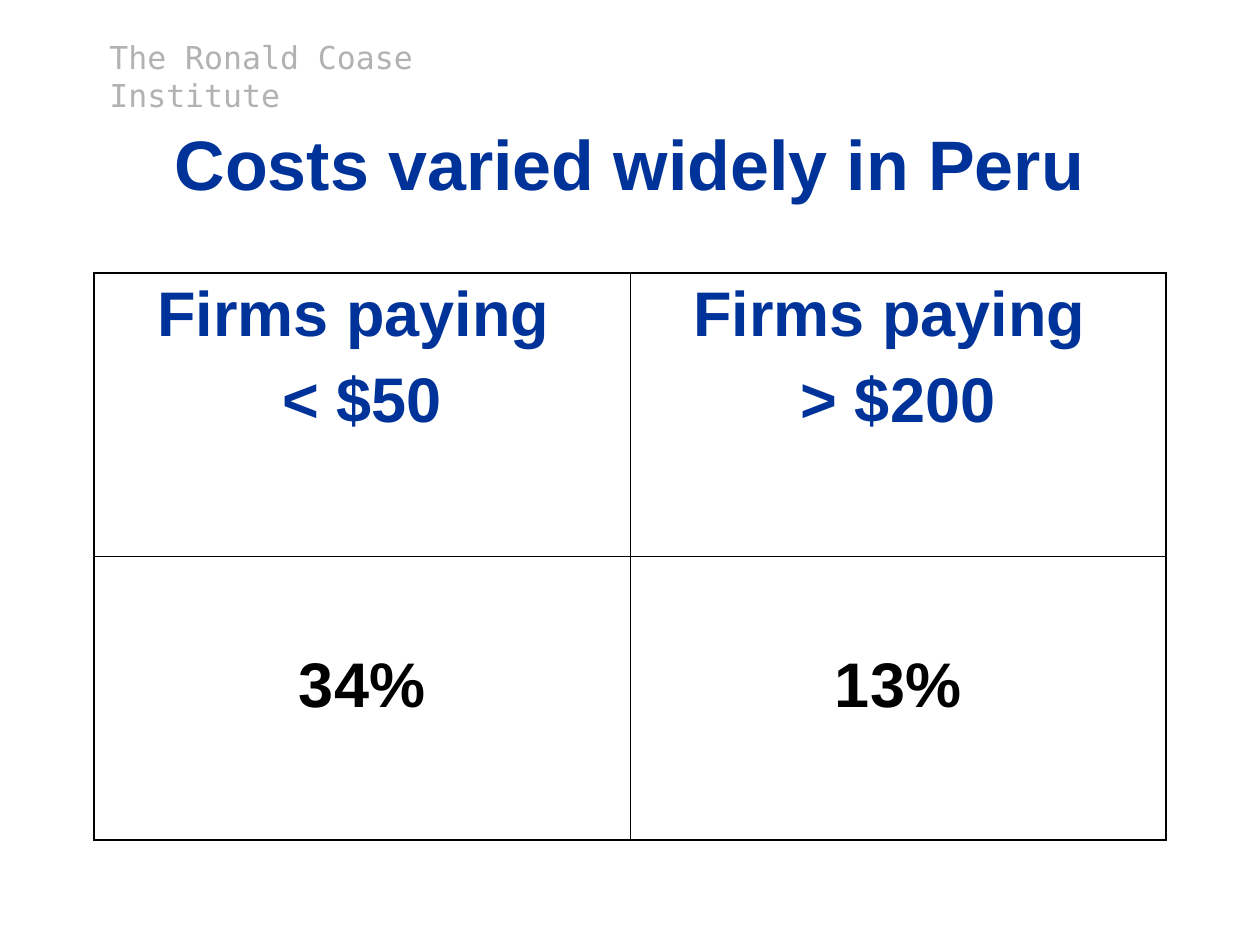
from lxml import etree
from pptx import Presentation
from pptx import util as u
from pptx.dml.color import RGBColor
from pptx.enum import text
from pptx.oxml.ns import qn

EMU_PER_PX = 914400 / 126
NAVY, BLACK, GREY = "003399", "000000", "B2B2B2"
OUTER, INNER = 1.08, 0.45  # border widths in points


def px(n):
    return u.Emu(round(n * EMU_PER_PX))


def color(value):
    return RGBColor.from_string(value)


def add_run(p, words, size, fill, font="Arial", bold=True):
    r = p.add_run()
    r.text = words
    r.font.name, r.font.size, r.font.bold = font, u.Pt(size), bold
    r.font.color.rgb = color(fill)


def add_header(s):
    sp = s.shapes.add_textbox(px(97), px(32), px(422), px(50))
    tf = sp.text_frame
    tf.word_wrap = True
    add_run(tf.paragraphs[0], "The Ronald Coase Institute", 18, GREY,
            "DejaVu Sans Mono", False)


def set_title(s, words):
    sp = s.shapes.title
    sp.left, sp.top, sp.width, sp.height = px(94), px(84), px(1071), px(158)
    tf = sp.text_frame
    tf.vertical_anchor = text.MSO_ANCHOR.MIDDLE
    tf.auto_size = text.MSO_AUTO_SIZE.NONE
    p = tf.paragraphs[0]
    p.alignment = text.PP_ALIGN.CENTER
    add_run(p, words, 40, NAVY)


def set_borders(cell, widths):
    tc_pr = cell._tc.get_or_add_tcPr()
    for i, (side, width) in enumerate(zip("LRTB", widths)):
        ln = etree.Element(qn(f"a:ln{side}"), w=str(u.Pt(width)))
        fill = etree.SubElement(ln, qn("a:solidFill"))
        etree.SubElement(fill, qn("a:srgbClr"), val=BLACK)
        tc_pr.insert(i, ln)


def fill_cell(cell, lines, fill, top):
    cell.fill.background()
    cell.margin_top = px(top)
    tf = cell.text_frame
    for i, line in enumerate(lines):
        p = tf.add_paragraph() if i else tf.paragraphs[0]
        p.alignment = text.PP_ALIGN.CENTER
        if i:
            p.space_before = u.Pt(9)
        add_run(p, line, 36, fill)


def add_cost_table(s):
    # Each row: cell lines, text colour, top margin
    rows = [
        ([["Firms paying ", "< $50"], ["Firms paying ", "> $200"]], NAVY, 6),
        ([["34%"], ["13%"]], BLACK, 94),
    ]
    table = s.shapes.add_table(2, 2, px(94), px(273), px(1072), px(567)).table
    table.first_row = table.horz_banding = False
    for y, (cells, fill, top) in enumerate(rows):
        for x, lines in enumerate(cells):
            cell = table.cell(y, x)
            fill_cell(cell, lines, fill, top)
            set_borders(cell, [OUTER if edge else INNER
                               for edge in (x == 0, x == 1, y == 0, y == 1)])


def main():
    prs = Presentation()
    prs.slide_width, prs.slide_height = px(1260), px(945)
    s = prs.slides.add_slide(prs.slide_layouts[5])  # title only
    add_header(s)
    set_title(s, "Costs varied widely in Peru")
    add_cost_table(s)
    prs.save("out.pptx")


if __name__ == "__main__":
    main()
